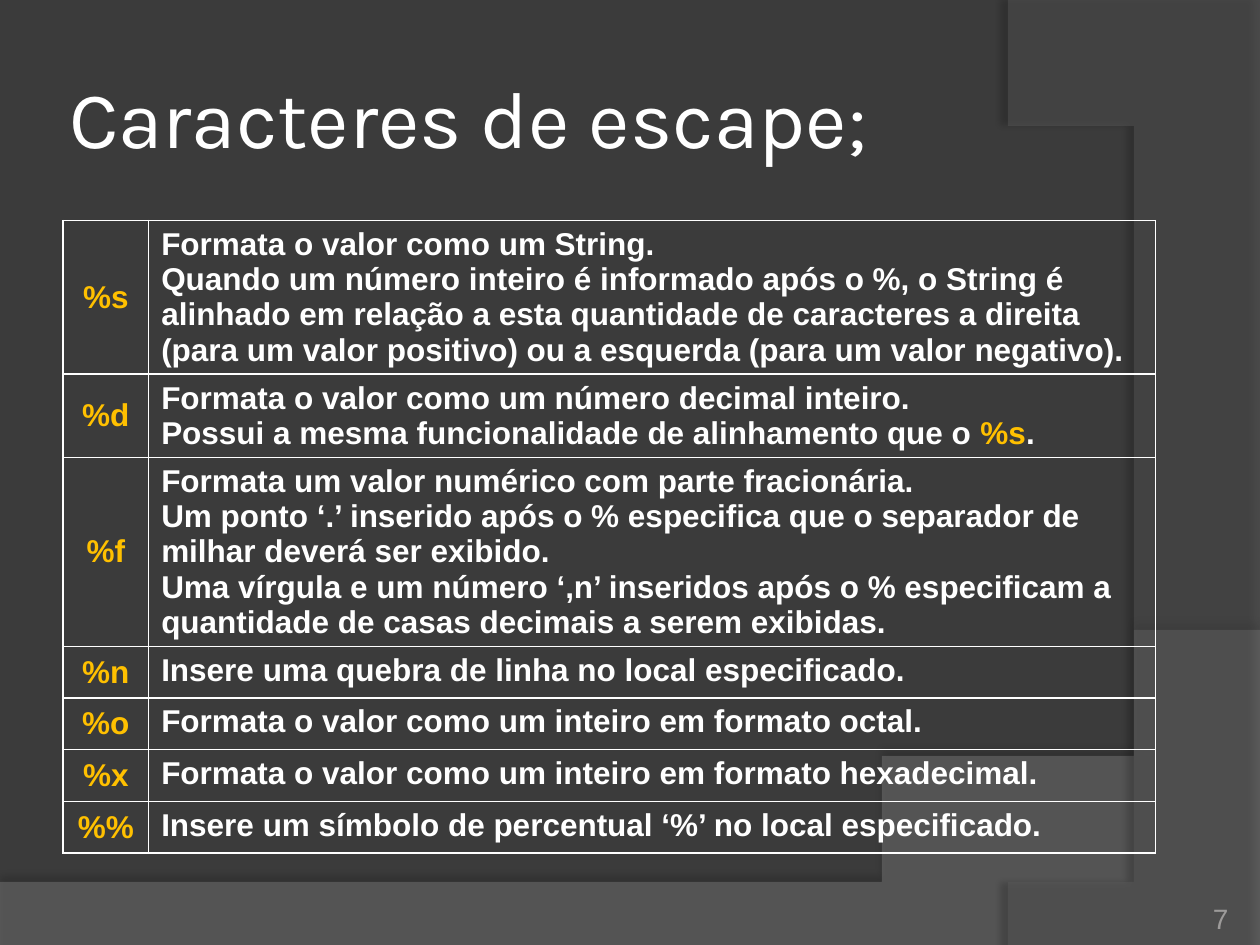
from dataclasses import dataclass

from lxml import etree
from pptx import Presentation
from pptx.dml.color import RGBColor
from pptx.enum.text import MSO_ANCHOR, PP_ALIGN
from pptx.oxml.ns import qn
from pptx.util import Inches, Pt

LEFT, CENTER, RIGHT = PP_ALIGN.LEFT, PP_ALIGN.CENTER, PP_ALIGN.RIGHT
TOP, MIDDLE, BOTTOM = MSO_ANCHOR.TOP, MSO_ANCHOR.MIDDLE, MSO_ANCHOR.BOTTOM

WIDTH, HEIGHT = 10, 7.5
TITLE_LAYOUT = 5
CURVE_STEPS = 40
COLUMN_WIDTHS = (0.68, 7.99)
ROW_HEIGHT = 0.41


@dataclass(frozen=True)
class Theme:
    background: str = "3B3B3B"
    wave: str = "7F7F7F"
    arc: str = "5E5E5E"
    shadow: str = "000000"
    text: str = "FFFFFF"
    accent: str = "FFC000"
    muted: str = "9D9B9A"
    title_font: str = "Karla"
    body_font: str = "Arial"
    title_size: int = 46
    body_size: int = 18
    number_size: int = 16


THEME = Theme()

# Each description is a list of paragraphs; a paragraph is text or a list of (text, color).
ESCAPES = [
    ("%s", ["Formata o valor como um String.",
            "Quando um número inteiro é informado após o %, o String é alinhado em relação a "
            "esta quantidade de caracteres a direita (para um valor positivo) ou a esquerda "
            "(para um valor negativo)."]),
    ("%d", ["Formata o valor como um número decimal inteiro.",
            [("Possui a mesma funcionalidade de alinhamento que o ", THEME.text),
             ("%s", THEME.accent), (".", THEME.text)]]),
    ("%f", ["Formata um valor numérico com parte fracionária.",
            "Um ponto ‘.’ inserido após o % especifica que o separador de milhar deverá "
            "ser exibido.",
            "Uma vírgula e um número ‘,n’ inseridos após o % especificam a quantidade de "
            "casas decimais a serem exibidas."]),
    ("%n", ["Insere uma quebra de linha no local especificado."]),
    ("%o", ["Formata o valor como um inteiro em formato octal."]),
    ("%x", ["Formata o valor como um inteiro em formato hexadecimal."]),
    ("%%", ["Insere um símbolo de percentual ‘%’ no local especificado."]),
]


def write_text(text_frame, paragraphs, *, size, font=THEME.body_font, color=THEME.text,
               bold=False, align=LEFT):
    for index, content in enumerate(paragraphs):
        paragraph = text_frame.paragraphs[0] if index == 0 else text_frame.add_paragraph()
        paragraph.alignment = align
        runs = [(content, color)] if isinstance(content, str) else content
        for text, run_color in runs:
            run = paragraph.add_run()
            run.text = text
            run.font.size = Pt(size)
            run.font.name = font
            run.font.bold = bold
            run.font.color.rgb = RGBColor.from_string(run_color)


def set_frame(text_frame, anchor, margin):
    text_frame.word_wrap = True
    text_frame.vertical_anchor = anchor
    text_frame.margin_left = text_frame.margin_right = Inches(margin)
    text_frame.margin_top = text_frame.margin_bottom = Inches(margin)


def place(shape, left, top, width, height):
    shape.left, shape.top = Inches(left), Inches(top)
    shape.width, shape.height = Inches(width), Inches(height)


def curve(*controls):
    """Return points along a cubic Bezier curve."""
    points = []
    for step in range(CURVE_STEPS + 1):
        t = step / CURVE_STEPS
        weights = ((1 - t) ** 3, 3 * t * (1 - t) ** 2, 3 * t ** 2 * (1 - t), t ** 3)
        points.append(tuple(sum(w * p[axis] for w, p in zip(weights, controls))
                            for axis in (0, 1)))
    return points


def add_color(parent, color, opacity):
    element = etree.SubElement(parent, qn("a:srgbClr"), val=color)
    etree.SubElement(element, qn("a:alpha"), val=str(opacity * 1000))


def add_backdrop(slide, points, color, opacity, shadow_opacity, distance, direction):
    """Add a translucent outline with a soft shadow; direction is in degrees."""
    builder = slide.shapes.build_freeform(*points[0], scale=Inches(1))
    builder.add_line_segments(points[1:], close=True)
    shape = builder.convert_to_shape()
    shape.line.fill.background()
    shape.fill.solid()
    shape.fill.fore_color.rgb = RGBColor.from_string(color)
    properties = shape.element.spPr
    fill_color = properties.find(qn("a:solidFill")).find(qn("a:srgbClr"))
    etree.SubElement(fill_color, qn("a:alpha"), val=str(opacity * 1000))
    effects = etree.SubElement(properties, qn("a:effectLst"))
    shadow = etree.SubElement(effects, qn("a:outerShdw"), blurRad=str(Pt(4)),
                              dist=str(Pt(distance)), dir=str(direction * 60000),
                              algn="ctr", rotWithShape="0")
    add_color(shadow, THEME.shadow, shadow_opacity)


def add_backdrops(slide):
    wave = [(0, 7.51), (WIDTH, 7.51)]
    wave += curve((WIDTH, 5.2), (5.59, 7.29), (3.91, 7.19), (0, 7.05))
    arc = [(WIDTH, 0.02), (WIDTH, HEIGHT)]
    arc += curve((8.21, HEIGHT), (9.35, 6.19), (10.18, 3), (8, 0))
    add_backdrop(slide, wave, THEME.wave, 45, 35, 3.5, 270)
    add_backdrop(slide, arc, THEME.arc, 40, 45, 4, 180)


def format_title(slide, text):
    title = slide.shapes.title
    title.element.getparent().append(title.element)  # in front of the backdrops
    place(title, 0.5, 0.3, 9.11, 1.25)
    set_frame(title.text_frame, MIDDLE, 0.05)
    write_text(title.text_frame, [text], size=THEME.title_size, font=THEME.title_font)


def style_cell(cell, anchor):
    cell.vertical_anchor = anchor
    properties = cell._tc.get_or_add_tcPr()
    for side in ("a:lnL", "a:lnR", "a:lnT", "a:lnB"):
        line = etree.SubElement(properties, qn(side), w=str(Pt(1)))
        fill = etree.SubElement(line, qn("a:solidFill"))
        etree.SubElement(fill, qn("a:srgbClr"), val=THEME.text)
    cell.fill.background()


def add_escape_table(slide):
    frame = slide.shapes.add_table(
        len(ESCAPES), len(COLUMN_WIDTHS), Inches(0.5), Inches(1.75),
        Inches(sum(COLUMN_WIDTHS)), Inches(ROW_HEIGHT * len(ESCAPES)))
    table = frame.table
    table.first_row = table.horz_banding = False
    for column, width in zip(table.columns, COLUMN_WIDTHS):
        column.width = Inches(width)
    for row, (code, description) in zip(table.rows, ESCAPES):
        row.height = Inches(ROW_HEIGHT)
        code_cell, description_cell = row.cells
        style_cell(code_cell, MIDDLE)
        style_cell(description_cell, TOP)
        write_text(code_cell.text_frame, [code], size=THEME.body_size,
                   color=THEME.accent, bold=True, align=CENTER)
        write_text(description_cell.text_frame, description, size=THEME.body_size, bold=True)


def add_slide_number(slide, number):
    box = slide.shapes.add_textbox(Inches(8.92), Inches(7.02), Inches(0.83), Inches(0.4))
    set_frame(box.text_frame, BOTTOM, 0)
    write_text(box.text_frame, [number], size=THEME.number_size, color=THEME.muted, align=RIGHT)


def main():
    presentation = Presentation()
    presentation.slide_width, presentation.slide_height = Inches(WIDTH), Inches(HEIGHT)
    slide = presentation.slides.add_slide(presentation.slide_layouts[TITLE_LAYOUT])
    slide.background.fill.solid()
    slide.background.fill.fore_color.rgb = RGBColor.from_string(THEME.background)
    add_backdrops(slide)
    format_title(slide, "Caracteres de escape;")
    add_escape_table(slide)
    add_slide_number(slide, "7")
    presentation.save("out.pptx")


if __name__ == "__main__":
    main()
